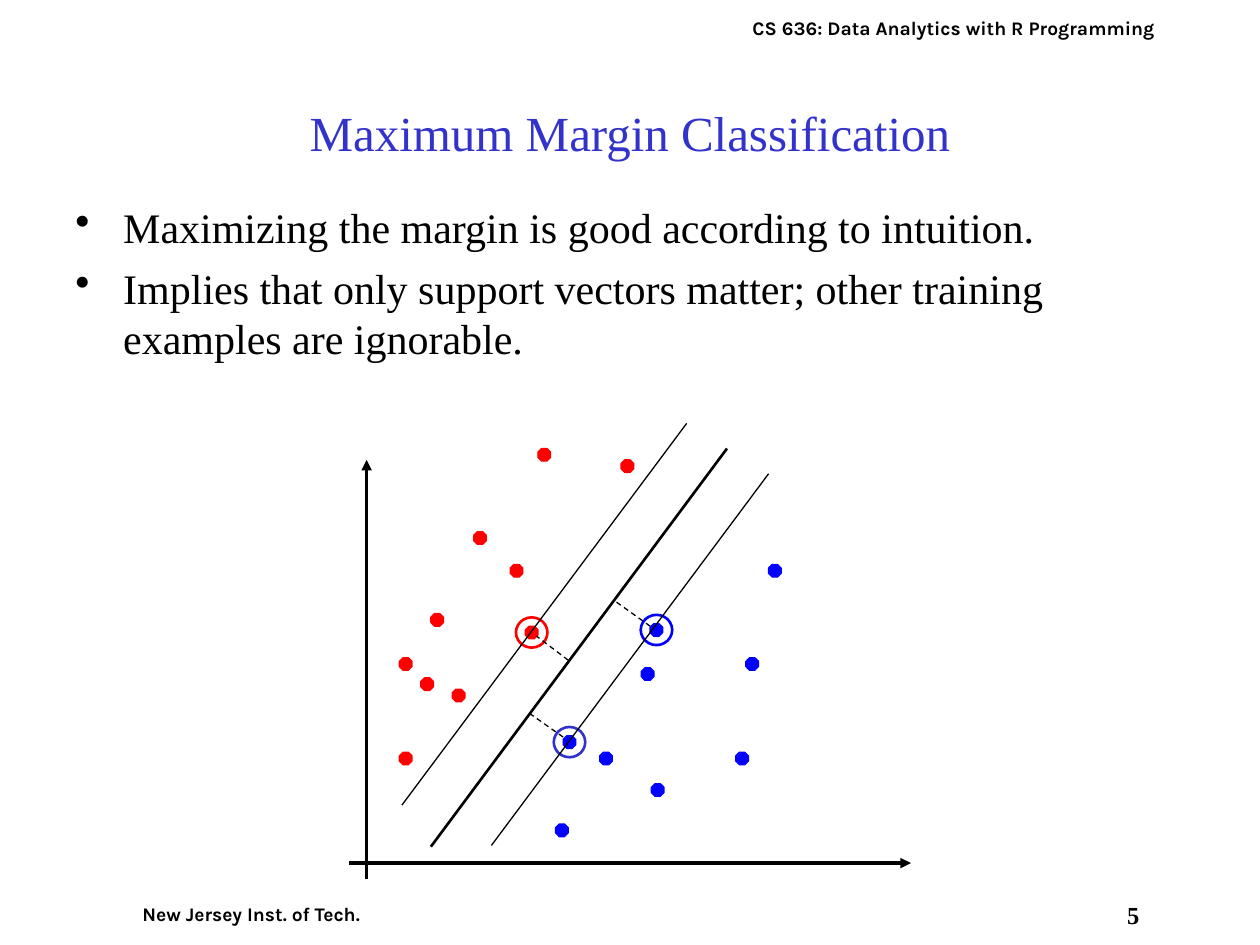
from dataclasses import dataclass

from pptx import Presentation
from pptx.dml.color import RGBColor
from pptx.enum.dml import MSO_LINE
from pptx.enum.shapes import MSO_CONNECTOR, MSO_SHAPE
from pptx.enum.text import MSO_ANCHOR, PP_ALIGN
from pptx.oxml.ns import qn
from pptx.util import Inches, Pt

STRAIGHT = MSO_CONNECTOR.STRAIGHT
OCTAGON, OVAL = MSO_SHAPE.OCTAGON, MSO_SHAPE.OVAL
DASH = MSO_LINE.DASH
LEFT, CENTER = PP_ALIGN.LEFT, PP_ALIGN.CENTER
TOP, MIDDLE = MSO_ANCHOR.TOP, MSO_ANCHOR.MIDDLE

# The slide is a grid of 100 columns by 75 rows of square cells
COLS, ROWS, CELL = 100, 75, Inches(0.1)


@dataclass(frozen=True)
class Theme:
    serif: str = "Times New Roman"
    sans: str = "Karla"
    ink: str = "000000"
    paper: str = "FFFFFF"
    accent: str = "3333CC"
    red: str = "FF0000"
    blue: str = "0000FF"
    title: int = 28
    body: int = 24
    number: int = 14
    label: int = 11
    axis: float = 2
    bold: float = 1.5
    thin: float = 0.75


T = Theme()


def grid(*cells):
    return [round(c * CELL) for c in cells]


def rgb(color):
    return RGBColor.from_string(color)


def add_text(s, box, lines, size, name=T.serif, color=T.ink, bold=False,
             align=CENTER, anchor=TOP, inset=(1, 0.5), fill=None, bullet=None):
    sp = s.shapes.add_textbox(*grid(*box))
    if fill:
        sp.fill.solid()
        sp.fill.fore_color.rgb = rgb(fill)
    tf = sp.text_frame
    tf.word_wrap, tf.vertical_anchor = True, anchor
    tf.margin_left = tf.margin_right = grid(inset[0])[0]
    tf.margin_top = tf.margin_bottom = grid(inset[1])[0]
    for i, line in enumerate(lines):
        p = tf.paragraphs[0] if i == 0 else tf.add_paragraph()
        p.alignment = align
        if i:
            p.space_before = Pt(6)
        if bullet:
            add_bullet(p, bullet, color)
        r = p.add_run()
        r.text = line
        r.font.color.rgb = rgb(color)
        for key, value in {"name": name, "size": Pt(size), "bold": bold}.items():
            setattr(r.font, key, value)


def add_bullet(p, char, color):
    pPr = p._p.get_or_add_pPr()
    hang = Inches(0.38)
    pPr.set("marL", str(hang))
    pPr.set("indent", str(-hang))
    clr = pPr.makeelement(qn("a:buClr"), {})
    clr.append(clr.makeelement(qn("a:srgbClr"), {"val": color}))
    pPr.append(clr)
    pPr.append(pPr.makeelement(qn("a:buChar"), {"char": char}))


def add_line(s, start, end, width, dash=None, arrow=False):
    line = s.shapes.add_connector(STRAIGHT, *grid(*start, *end))
    line.line.color.rgb = rgb(T.ink)
    line.line.width = Pt(width)
    if dash:
        line.line.dash_style = dash
    spPr = line._element.spPr
    if arrow:
        ln = line.line._get_or_add_ln()
        ln.append(ln.makeelement(qn("a:tailEnd"), {"type": "triangle"}))
    spPr.append(spPr.makeelement(qn("a:effectLst"), {}))


def add_mark(s, kind, center, size, color, width, filled):
    (x, y), (w, h) = center, size
    sp = s.shapes.add_shape(kind, *grid(x - w / 2, y - h / 2, w, h))
    sp.shadow.inherit = False
    if filled:
        sp.fill.solid()
        sp.fill.fore_color.rgb = rgb(color)
    else:
        sp.fill.background()
    sp.line.color.rgb = rgb(color)
    sp.line.width = Pt(width)


def add_frame(s, box):
    """Course name at the top, school and slide number at the bottom."""
    x, y, w, h = box
    label = {"size": T.label, "name": T.sans, "bold": True,
             "inset": (0.5, 0.5), "fill": T.paper}
    add_text(s, (x + w - 11.7, y + h - 3.6, 3.3, 3.6), ["5"], T.number,
             bold=True, inset=(0, 0), fill=T.paper)
    add_text(s, (x + 8.3, y + h - 3.9, 23.3, 2.9),
             ["New Jersey Inst. of Tech."], **label)
    add_text(s, (x + w - 42.2, y + 0.8, 35.8, 2.9),
             ["CS 636: Data Analytics with R Programming"], **label)


def add_content(s, box):
    """Title above two bulleted statements."""
    x, y, w, h = box
    add_text(s, (x + 2.5, y, w - 5, 12.5), ["Maximum Margin Classification"],
             T.title, color=T.accent, anchor=MIDDLE)
    add_text(s, (x, y + 11.3, w, h - 11.3),
             ["Maximizing the margin is good according to intuition.",
              "Implies that only support vectors matter; "
              "other training examples are ignorable."],
             T.body, align=LEFT, bullet="•")


def add_margin_plot(s, box):
    """Two classes of points, the separating line and its margins."""
    left, top, w, h = box

    def at(point):
        return left + point[0], top + point[1]

    # Axes
    for start, end in [((2.1, h - 0.2), (2.1, 3.5)),
                       ((0.7, h - 1.5), (w - 0.7, h - 1.5))]:
        add_line(s, at(start), at(end), T.axis, arrow=True)

    # Training examples; the support vectors come first in each class
    red = [(15.2, 17.2), (14, 12.3), (7.7, 16.2), (9.4, 22.2), (5.2, 27.2),
           (11.1, 9.7), (5.2, 19.7), (6.9, 21.3), (16.2, 3.1), (22.8, 4)]
    blue = [(25.1, 17), (18.2, 25.9), (21.1, 27.2), (31.9, 27.2), (17.6, 32.9),
            (24.4, 20.5), (25.2, 29.7), (32.7, 19.7), (34.5, 12.3)]
    for color, points in [(T.red, red), (T.blue, blue)]:
        for point in points:
            add_mark(s, OCTAGON, at(point), (1, 1), color, T.thin, True)

    # Rings around the support vectors
    for point, color in [(red[0], T.red), (blue[1], T.accent), (blue[0], T.blue)]:
        add_mark(s, OVAL, at(point), (2.5, 2.4), color, T.bold, False)

    # Separating line, distances to it, and margins
    for start, end, width, dash in [
            ((7.2, 34.2), (30.7, 2.6), T.bold, None),
            ((24.6, 16.7), (21.8, 14.7), T.thin, DASH),
            ((17.7, 25.5), (15, 23.6), T.thin, DASH),
            ((18.1, 19.4), (15.6, 17.5), T.thin, DASH),
            ((12, 34.1), (34, 4.6), T.thin, None),
            ((4.9, 30.9), (27.5, 0.6), T.thin, None)]:
        add_line(s, at(start), at(end), width, dash)


def main():
    prs = Presentation()
    prs.slide_width, prs.slide_height = grid(COLS, ROWS)
    s = prs.slides.add_slide(prs.slide_layouts[6])
    s.background.fill.solid()
    s.background.fill.fore_color.rgb = rgb(T.paper)
    add_frame(s, (0, 0, COLS, ROWS))
    add_content(s, (5, 4.2, 90, 66.3))
    add_margin_plot(s, (27, 33, 46, 37))
    prs.save("out.pptx")


if __name__ == "__main__":
    main()
